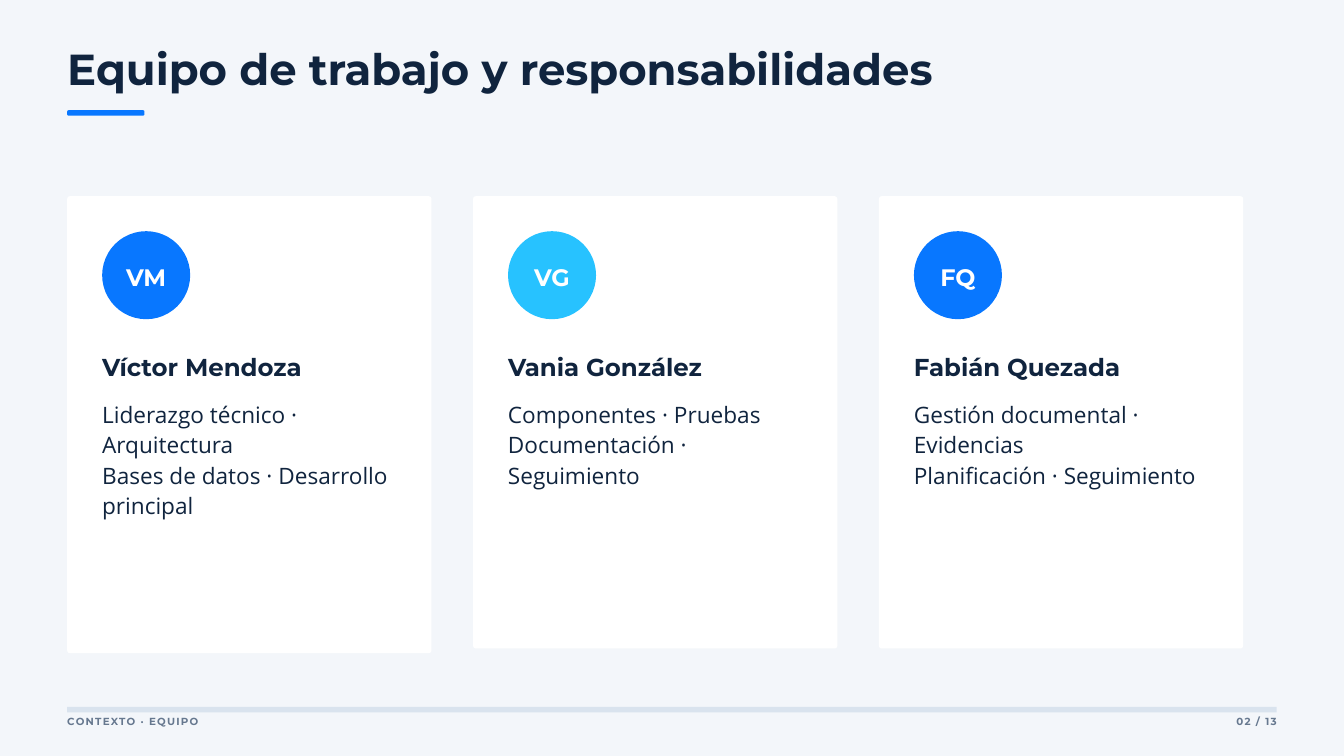
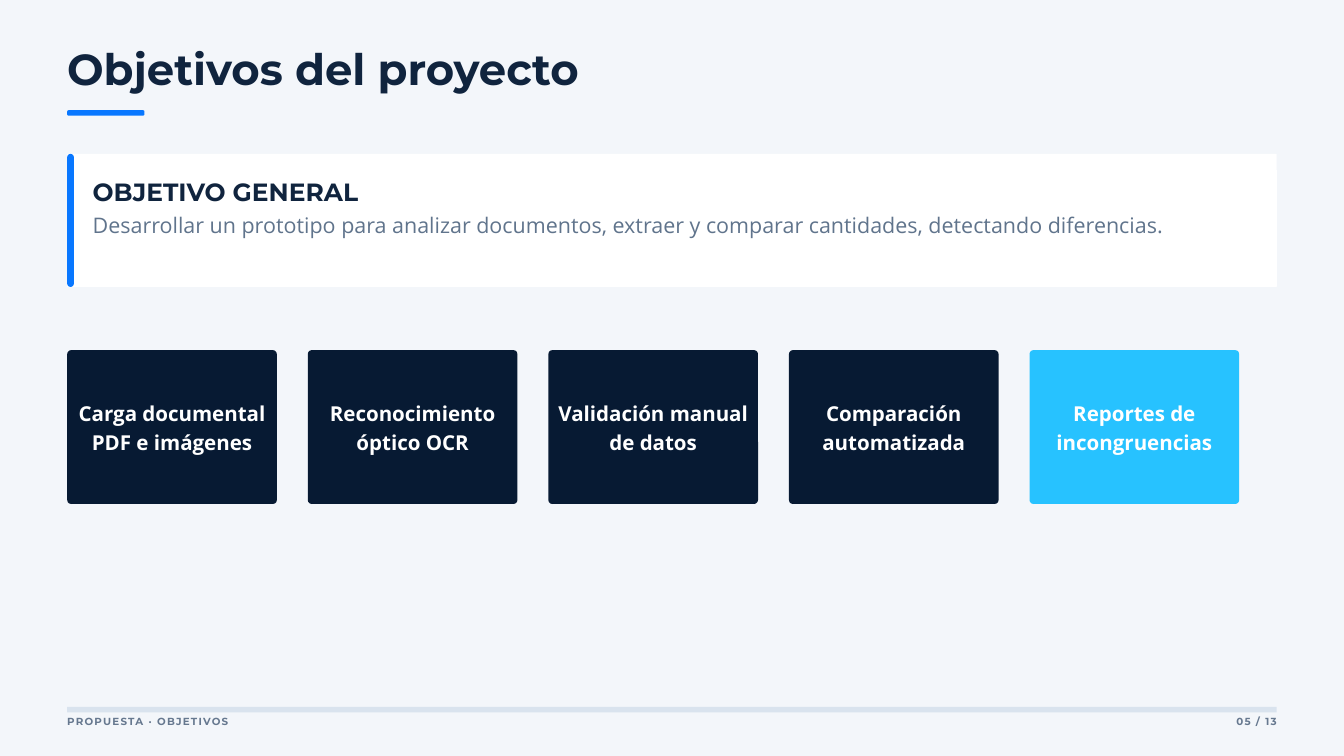
from pptx import Presentation
from pptx.dml.color import RGBColor
from pptx.enum.shapes import MSO_SHAPE
from pptx.enum.text import MSO_ANCHOR, MSO_AUTO_SIZE, PP_ALIGN
from pptx.util import Inches, Pt

RECT, ROUNDED, OVAL = MSO_SHAPE.RECTANGLE, MSO_SHAPE.ROUNDED_RECTANGLE, MSO_SHAPE.OVAL
LEFT, CENTER, RIGHT = PP_ALIGN.LEFT, PP_ALIGN.CENTER, PP_ALIGN.RIGHT
TOP, MIDDLE = MSO_ANCHOR.TOP, MSO_ANCHOR.MIDDLE

HEADING, BODY = "Montserrat", "Open Sans"
BACKGROUND, WHITE = "F3F6FA", "FFFFFF"
INK, NAVY, SLATE, FOOTER_GREY, RULE = "10243E", "071A33", "60748C", "66788F", "D9E3EE"
BLUE, CYAN = "0877FF", "27C2FF"

MARGIN, CONTENT_WIDTH = 1, 18
TITLE_ONLY = 5

TEAM = [
    ("VM", BLUE, 6.8, "Víctor Mendoza",
     "Liderazgo técnico · Arquitectura\nBases de datos · Desarrollo principal"),
    ("VG", CYAN, 6.73, "Vania González",
     "Componentes · Pruebas\nDocumentación · Seguimiento"),
    ("FQ", BLUE, 6.73, "Fabián Quezada",
     "Gestión documental · Evidencias\nPlanificación · Seguimiento"),
]
OBJECTIVES = [
    ("Carga documental\nPDF e imágenes", NAVY),
    ("Reconocimiento\nóptico OCR", NAVY),
    ("Validación manual\nde datos", NAVY),
    ("Comparación\nautomatizada", NAVY),
    ("Reportes de\nincongruencias", CYAN),
]


def rgb(value):
    return RGBColor.from_string(value)


def write(shape, text, size, line, color, font=HEADING, bold=True, align=LEFT,
          anchor=TOP, insets=(0, 0, 0, 0), tracking=0):
    """Fill a shape with text; insets run left, top, right, bottom."""
    frame = shape.text_frame
    frame.text = text
    frame.word_wrap = True
    frame.auto_size = MSO_AUTO_SIZE.NONE
    frame.vertical_anchor = anchor
    (frame.margin_left, frame.margin_top,
     frame.margin_right, frame.margin_bottom) = map(Inches, insets)
    for paragraph in frame.paragraphs:
        paragraph.alignment = align
        paragraph.line_spacing = Pt(line)
        for run in paragraph.runs:
            run.font.name = font
            run.font.size = Pt(size)
            run.font.bold = bold
            run.font.color.rgb = rgb(color)
            if tracking:
                run._r.get_or_add_rPr().set("spc", str(round(tracking * 100)))


def add_text(slide, left, top, width, height, text, size, line, color, **style):
    box = slide.shapes.add_textbox(*map(Inches, (left, top, width, height)))
    write(box, text, size, line, color, **style)


def add_block(slide, kind, left, top, width, height, color, radius=0):
    block = slide.shapes.add_shape(kind, *map(Inches, (left, top, width, height)))
    block.shadow.inherit = False
    block.fill.solid()
    block.fill.fore_color.rgb = rgb(color)
    block.line.fill.background()
    if kind == ROUNDED:
        block.adjustments[0] = radius / min(width, height)
    return block


def write_centred(block, text, size, line, font):
    """White label, set slightly above the middle of its block."""
    write(block, text, size, line, WHITE, font=font, align=CENTER, anchor=MIDDLE,
          insets=(0.06, 0.06, 0.06, 0.09))


def add_framed_slide(prs, title, section, page):
    """Add a slide with its title, accent bar and footer."""
    slide = prs.slides.add_slide(prs.slide_layouts[TITLE_ONLY])
    heading = slide.shapes.title
    heading.left, heading.top, heading.width, heading.height = map(
        Inches, (MARGIN, 0.71, 15.62, 0.7))
    write(heading, title, 46.5, 50.2, INK)
    add_block(slide, ROUNDED, MARGIN, 1.64, 1.15, 0.08, BLUE, radius=0.02)

    add_block(slide, RECT, MARGIN, 10.52, CONTENT_WIDTH, 0.08, RULE)
    page_width = 1.92
    page_left = MARGIN + CONTENT_WIDTH - page_width
    for left, width, text, align in ((MARGIN, 7.5, section, LEFT),
                                     (page_left, page_width, page, RIGHT)):
        add_text(slide, left, 10.61, width, 0.21, text, 11, 15.4, FOOTER_GREY,
                 align=align, tracking=1.3)
    return slide


def add_member_card(slide, left, top, width, height, initials, color, name, duties):
    add_block(slide, ROUNDED, left, top, width, height, WHITE, radius=0.04)
    inner = left + 0.52
    avatar = add_block(slide, OVAL, inner, top + 0.52, 1.31, 1.31, color)
    write_centred(avatar, initials, 25.5, 35.7, HEADING)
    add_text(slide, inner, top + 2.25, width - 1.04, 0.48, name, 26.2, 36.8, INK)
    add_text(slide, inner, top + 2.99, width - 1.15, 1.76, duties, 24.2, 32.7, INK,
             font=BODY, bold=False)


def add_general_objective(slide, left, top, width, height):
    add_block(slide, ROUNDED, left, top, width, height, WHITE, radius=0.01)
    add_block(slide, ROUNDED, left, top, 0.1, height, BLUE, radius=0.05)
    inner, inner_width = left + 0.38, width - 0.73
    add_text(slide, inner, top + 0.27, inner_width, 0.48, "OBJETIVO GENERAL",
             26.7, 37.4, INK)
    add_text(slide, inner, top + 0.84, inner_width, 0.39,
             "Desarrollar un prototipo para analizar documentos, extraer y comparar "
             "cantidades, detectando diferencias.",
             23, 29.9, SLATE, font=BODY, bold=False)


def add_objective_tiles(slide, left, top, width, height, pitch):
    for index, (label, color) in enumerate(OBJECTIVES):
        tile = add_block(slide, ROUNDED, left + index * pitch, top, width, height,
                         color, radius=0.06)
        write_centred(tile, label, 22, 30.8, BODY)


def add_team_slide(prs):
    slide = add_framed_slide(prs, "Equipo de trabajo y responsabilidades",
                             "CONTEXTO · EQUIPO", "02 / 13")
    card_width, gap = 5.42, 0.62
    for index, (initials, color, height, name, duties) in enumerate(TEAM):
        add_member_card(slide, MARGIN + index * (card_width + gap), 2.92, card_width,
                        height, initials, color, name, duties)


def add_objectives_slide(prs):
    slide = add_framed_slide(prs, "Objetivos del proyecto",
                             "PROPUESTA · OBJETIVOS", "05 / 13")
    add_general_objective(slide, MARGIN, 2.29, CONTENT_WIDTH, 1.98)
    add_objective_tiles(slide, MARGIN, 5.21, 3.12, 2.29, pitch=3.58)


def main():
    prs = Presentation()
    prs.slide_width, prs.slide_height = Inches(20), Inches(11.25)
    backdrop = prs.slide_master.background.fill
    backdrop.solid()
    backdrop.fore_color.rgb = rgb(BACKGROUND)
    add_team_slide(prs)
    add_objectives_slide(prs)
    prs.save("out.pptx")


if __name__ == "__main__":
    main()
